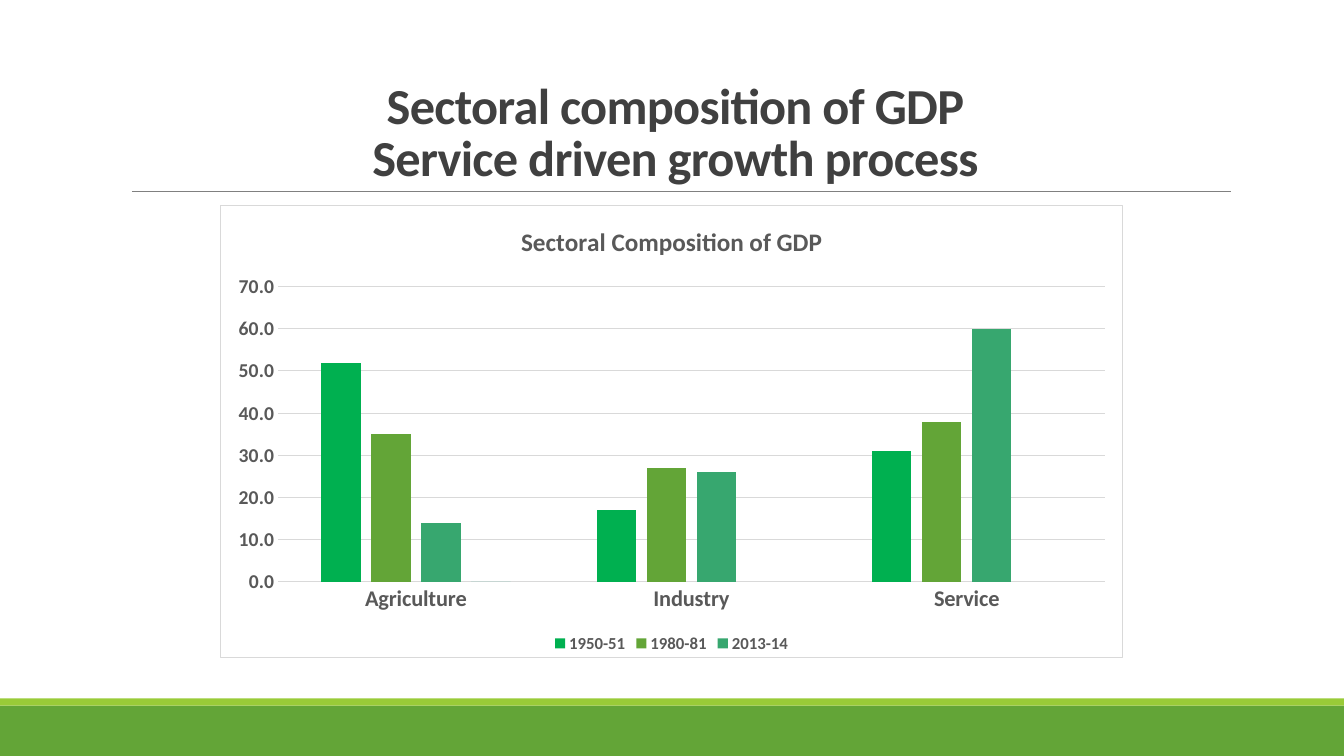
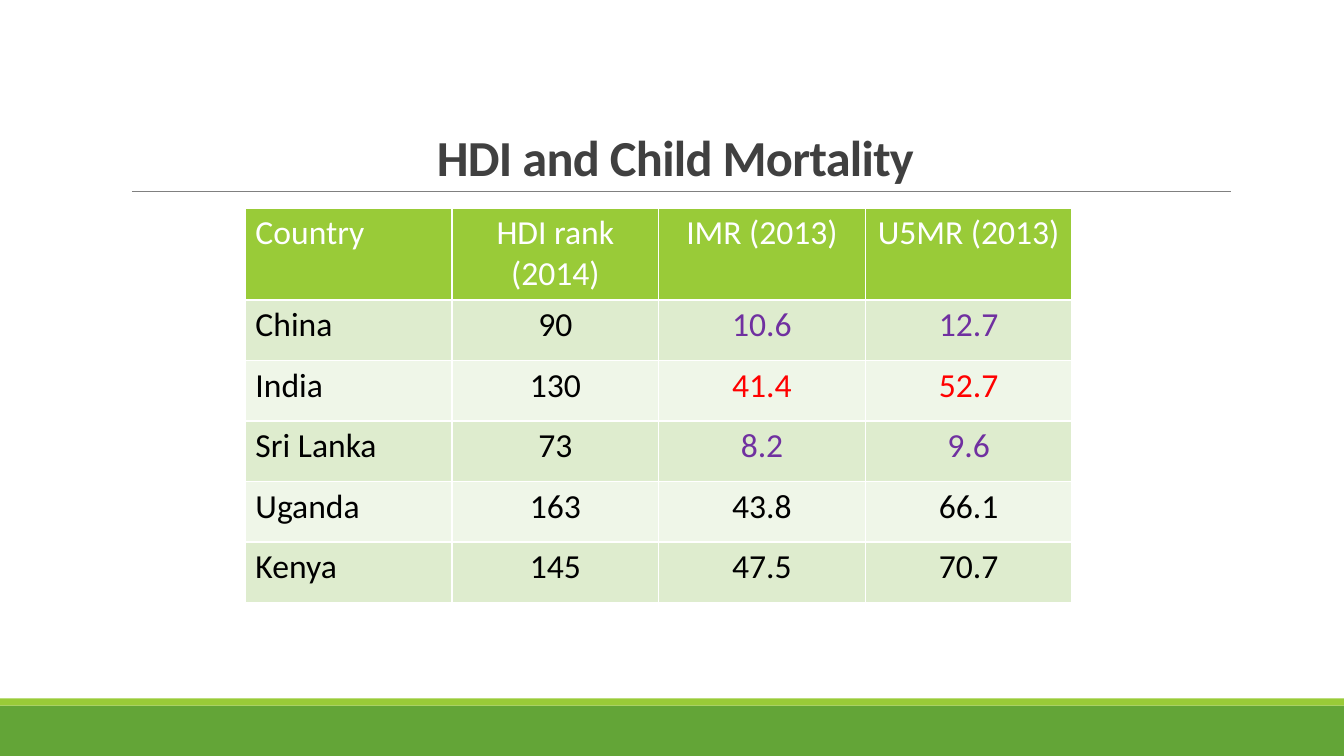
from pptx import Presentation
from pptx.chart.data import CategoryChartData
from pptx.dml.color import RGBColor
from pptx.enum import chart as chart_enum, shapes, text
from pptx.oxml import parse_xml
from pptx.oxml.ns import nsdecls, qn
from pptx.util import Pt

COLORS = {
    "green": "63A537", "lime": "99CB38", "rule": "808080", "title": "404040",
    "white": "FFFFFF", "black": "000000", "label": "595959", "grid": "D9D9D9",
    "good": "7030A0", "bad": "FF0000", "band": "DEECCE", "pale": "EFF6E8",
}
FONT = "Calibri"
WIDTH, HEIGHT = 960, 540

GDP_TITLE = "Sectoral composition of GDP\vService driven growth process"
GDP_CHART_TITLE = "Sectoral Composition of GDP"
SECTORS = ["Agriculture", "Industry", "Service"]
GDP_SERIES = [
    ("1950-51", (52, 17, 31), "00B050"),
    ("1980-81", (35, 27, 38), "63A537"),
    ("2013-14", (14, 26, 60), "37A76F"),
    ("Series 4", (0, None, None), "44C1A3"),
]
HIDDEN_LEGEND_INDEX = 3

HDI_TITLE = "HDI and Child Mortality"
HDI_HEADER = ("Country", "HDI rank (2014)", "IMR (2013)", "U5MR (2013)")
HDI_ROWS = [  # cells, colour of the two mortality rates
    (("China", "90", "10.6", "12.7"), "good"),
    (("India", "130", "41.4", "52.7"), "bad"),
    (("Sri Lanka", "73", "8.2", "9.6"), "good"),
    (("Uganda", "163", "43.8", "66.1"), "black"),
    (("Kenya", "145", "47.5", "70.7"), "black"),
]

TITLE_STYLE = f"""<a:lstStyle {nsdecls('a')}>
  <a:lvl1pPr algn="ctr"><a:lnSpc><a:spcPct val="85000"/></a:lnSpc>
    <a:defRPr sz="3600" b="1" spc="-50">
      <a:solidFill><a:srgbClr val="{COLORS['title']}"/></a:solidFill>
      <a:latin typeface="{FONT}"/>
    </a:defRPr></a:lvl1pPr></a:lstStyle>"""


def rgb(name):
    return RGBColor.from_string(COLORS.get(name, name))


def paint(fill, color):
    fill.solid()
    fill.fore_color.rgb = rgb(color)


def draw_line(line, color, width):
    paint(line.fill, color)
    line.width = Pt(width)


def set_font(font, size, color, bold=False):
    values = {"name": FONT, "size": Pt(size), "bold": bold}
    for key, value in values.items():
        setattr(font, key, value)
    font.color.rgb = rgb(color)


def style_layout(layout, slide):
    """Give the layout its title style, bands and rule, drawn by way of a slide."""
    for placeholder in list(layout.placeholders):
        if placeholder.placeholder_format.type != shapes.PP_PLACEHOLDER.TITLE:
            layout.shapes.element.remove(placeholder.element)
            continue
        box = {"left": 86.4, "top": 22.5, "width": 792, "height": 114.3}
        for key, value in box.items():
            setattr(placeholder, key, Pt(value))
        frame = placeholder.text_frame
        frame.vertical_anchor = text.MSO_ANCHOR.BOTTOM
        frame.auto_size = text.MSO_AUTO_SIZE.NONE
        old_style = placeholder.element.find(".//" + qn("a:lstStyle"))
        old_style.getparent().replace(old_style, parse_xml(TITLE_STYLE))

    parts = []
    for top, height, color in ((504, 36, "green"), (498.8, 5.2, "lime")):
        band = slide.shapes.add_shape(
            shapes.MSO_SHAPE.RECTANGLE, 0, Pt(top), Pt(WIDTH), Pt(height))
        band.shadow.inherit = False
        paint(band.fill, color)
        band.line.fill.background()
        parts.append(band)
    rule = slide.shapes.add_connector(
        shapes.MSO_CONNECTOR.STRAIGHT, Pt(94.3), Pt(136.8), Pt(879), Pt(136.8))
    draw_line(rule.line, "rule", 0.5)
    rule.element.spPr.append(parse_xml(f"<a:effectLst {nsdecls('a')}/>"))
    for part in parts + [rule]:
        layout.shapes.element.append(part.element)


def frame_chart(chart):
    """White background with a thin grey border."""
    chart.element.find(qn("c:chart")).addnext(parse_xml(
        f"""<c:spPr {nsdecls('c', 'a')}>
        <a:solidFill><a:srgbClr val="{COLORS['white']}"/></a:solidFill>
        <a:ln w="9525"><a:solidFill><a:srgbClr val="{COLORS['grid']}"/></a:solidFill></a:ln>
        </c:spPr>"""))


def add_gdp_chart(slide):
    data = CategoryChartData(number_format="0.0")
    data.categories = SECTORS
    for name, values, _ in GDP_SERIES:
        data.add_series(name, values)
    chart = slide.shapes.add_chart(
        chart_enum.XL_CHART_TYPE.COLUMN_CLUSTERED,
        Pt(157.2), Pt(146.5), Pt(645), Pt(323.5), data).chart
    frame_chart(chart)
    set_font(chart.font, 10, "black")

    chart.has_title = True
    title = chart.chart_title.text_frame
    title.text = GDP_CHART_TITLE
    set_font(title.paragraphs[0].runs[0].font, 18, "label", True)

    plot = chart.plots[0]
    for key, value in {"gap_width": 219, "overlap": -27, "vary_by_categories": False}.items():
        setattr(plot, key, value)
    for series, (_, _, color) in zip(plot.series, GDP_SERIES):
        paint(series.format.fill, color)

    for axis, size in ((chart.category_axis, 16), (chart.value_axis, 14)):
        axis.major_tick_mark = axis.minor_tick_mark = chart_enum.XL_TICK_MARK.NONE
        set_font(axis.tick_labels.font, size, "label", True)
    draw_line(chart.category_axis.format.line, "grid", 0.75)
    value_axis = chart.value_axis
    for key, value in {"minimum_scale": 0, "maximum_scale": 70, "major_unit": 10}.items():
        setattr(value_axis, key, value)
    value_axis.format.line.fill.background()
    draw_line(value_axis.major_gridlines.format.line, "grid", 0.75)
    value_axis.tick_labels.number_format = "0.0"
    value_axis.tick_labels.number_format_is_linked = False

    chart.has_legend = True
    chart.legend.position = chart_enum.XL_LEGEND_POSITION.BOTTOM
    chart.legend.include_in_layout = False
    set_font(chart.legend.font, 12, "label", True)
    chart.element.find(".//" + qn("c:legendPos")).addnext(parse_xml(
        f"""<c:legendEntry {nsdecls('c')}><c:idx val="{HIDDEN_LEGEND_INDEX}"/>
        <c:delete val="1"/></c:legendEntry>"""))


def set_borders(cell):
    properties = cell._tc.get_or_add_tcPr()
    for index, side in enumerate("LRTB"):
        properties.insert(index, parse_xml(
            f"""<a:ln{side} {nsdecls('a')} w="12700"><a:solidFill>
            <a:srgbClr val="{COLORS['white']}"/></a:solidFill></a:ln{side}>"""))


def add_hdi_table(slide):
    header_height, row_height, column_width = 65.5, 43.2, 147.6
    rows = [(HDI_HEADER, "white")] + HDI_ROWS
    table = slide.shapes.add_table(
        len(rows), len(HDI_HEADER), Pt(175.3), Pt(148.5),
        Pt(column_width * len(HDI_HEADER)),
        Pt(header_height + row_height * len(HDI_ROWS))).table
    for column in table.columns:
        column.width = Pt(column_width)
    for row_index, (values, rate_color) in enumerate(rows):
        is_header = row_index == 0
        table.rows[row_index].height = Pt(header_height if is_header else row_height)
        fill = "lime" if is_header else ("pale", "band")[row_index % 2]
        for column_index, value in enumerate(values):
            cell = table.cell(row_index, column_index)
            cell.text = value
            paint(cell.fill, fill)
            set_borders(cell)
            paragraph = cell.text_frame.paragraphs[0]
            if column_index:
                paragraph.alignment = text.PP_ALIGN.CENTER
            color = rate_color if is_header or column_index >= 2 else "black"
            set_font(paragraph.runs[0].font, 24, color)


def main():
    presentation = Presentation()
    presentation.slide_width, presentation.slide_height = Pt(WIDTH), Pt(HEIGHT)
    layout = presentation.slide_layouts.get_by_name("Title Only")
    content = ((GDP_TITLE, add_gdp_chart), (HDI_TITLE, add_hdi_table))
    for index, (title, add_content) in enumerate(content):
        slide = presentation.slides.add_slide(layout)
        if index == 0:
            style_layout(layout, slide)
        slide.shapes.title.text_frame.text = title
        add_content(slide)
    presentation.save("out.pptx")


if __name__ == "__main__":
    main()
